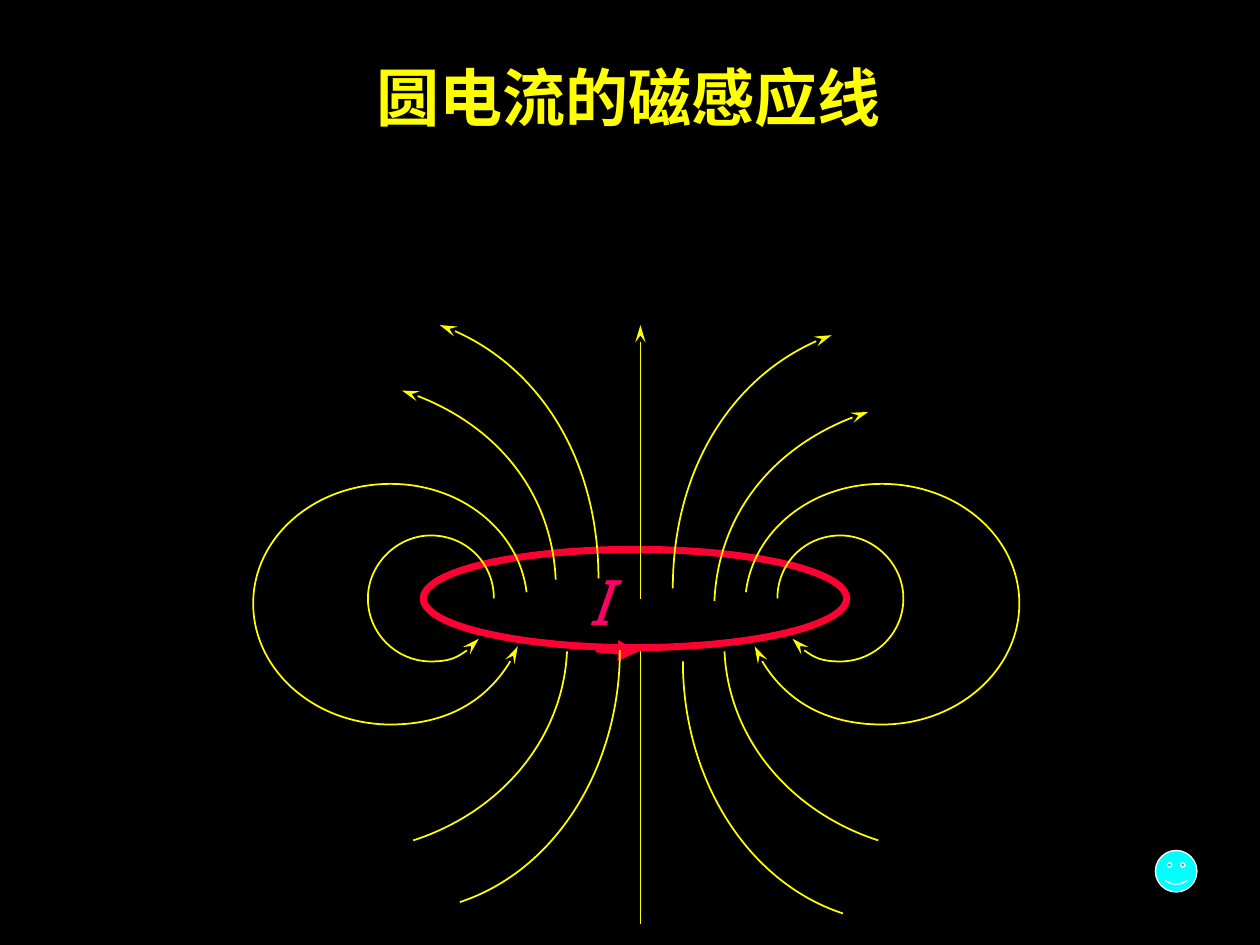
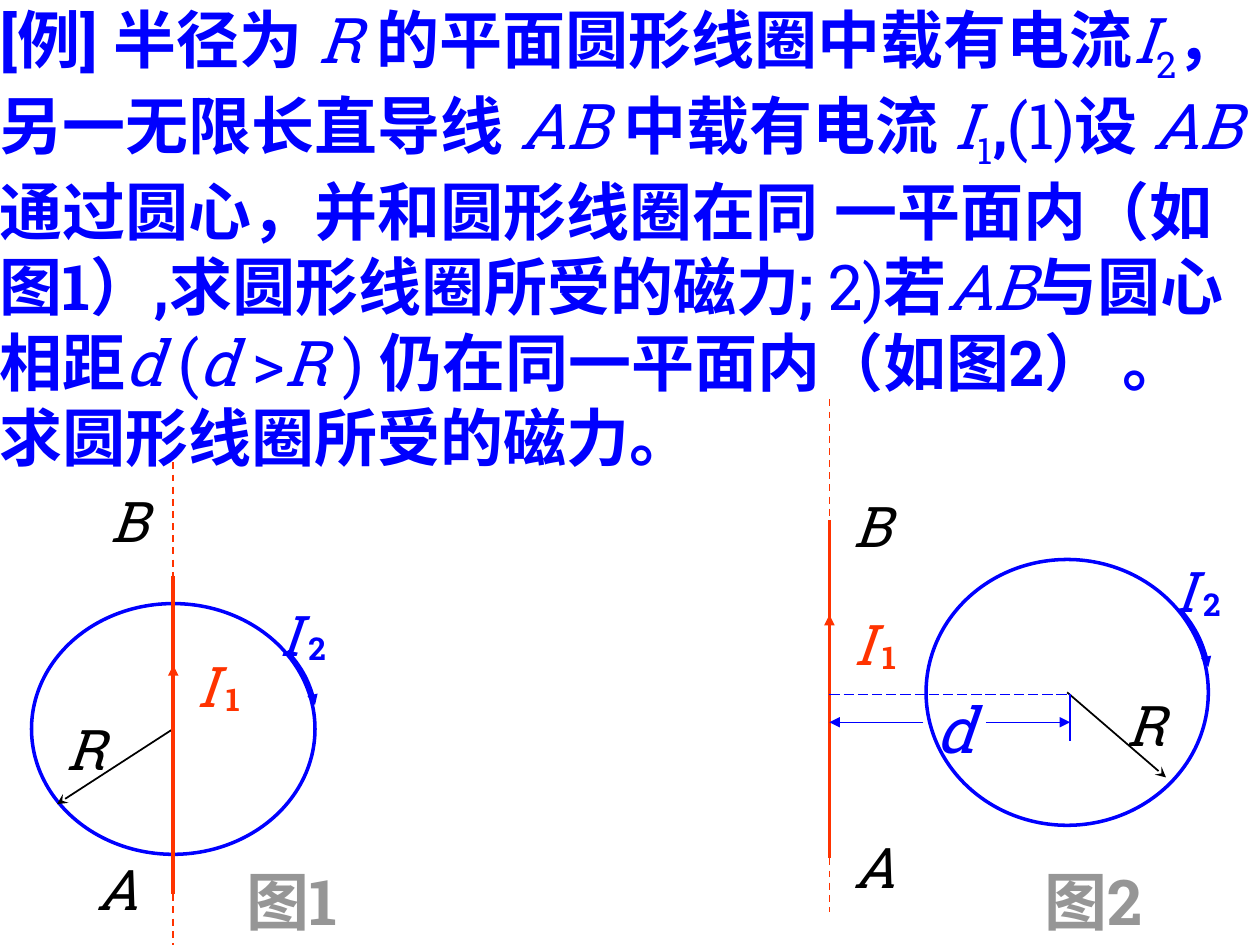
from copy import deepcopy
from dataclasses import dataclass

from lxml import etree
from pptx import Presentation
from pptx import util as u
from pptx.dml.color import RGBColor
from pptx.enum import dml, shapes, text
from pptx.oxml.ns import qn

FONT = "Roboto Slab"
COLUMNS, ROWS = 100, 75
CELL = u.Inches(10) // COLUMNS

BLACK = RGBColor(0, 0, 0)
WHITE = RGBColor(255, 255, 255)
YELLOW = RGBColor(255, 255, 0)
CRIMSON = RGBColor(255, 0, 51)
PINK = RGBColor(255, 0, 102)
CYAN = RGBColor(0, 255, 255)
BLUE = RGBColor(0, 0, 255)
ORANGE = RGBColor(255, 51, 0)
GRAY = RGBColor(150, 150, 150)

TRIANGLE = {"type": "triangle"}
STEALTH = {"type": "stealth"}
LONG_STEALTH = {"type": "stealth", "len": "lg"}


@dataclass
class Box:
    left: float
    top: float
    width: float
    height: float

    def cell(self, column, row, width=0, height=0):
        return Box(self.left + column, self.top + row, width, height)

    def share(self, x, y):
        return self.left + x * self.width, self.top + y * self.height

    def emu(self):
        return [round(n * CELL) for n in (self.left, self.top, self.width, self.height)]


def add_slide(presentation, background):
    slide = presentation.slides.add_slide(presentation.slide_layouts[6])
    slide.background.fill.solid()
    slide.background.fill.fore_color.rgb = background
    return slide


def style_line(shape, color, width, arrow=None, dash=None):
    shape.line.color.rgb = color
    shape.line.width = u.Pt(width)
    if dash:
        shape.line.dash_style = dash
    if arrow:
        etree.SubElement(shape.line._get_or_add_ln(), qn("a:tailEnd"), arrow)


def add_line(slide, start, end, color, width, arrow=None, dash=None):
    ends = [round(n * CELL) for n in (*start, *end)]
    connector = slide.shapes.add_connector(shapes.MSO_CONNECTOR.STRAIGHT, *ends)
    style_line(connector, color, width, arrow, dash)
    etree.SubElement(connector._element.spPr, qn("a:effectLst"))


def add_sector(outline, corner):
    outline.remove(corner)
    sector = deepcopy(outline)
    sector.append(corner)
    etree.SubElement(sector, qn("a:close"))
    sector.set("stroke", "0")
    outline.addnext(sector)


def add_curve(slide, points, color, width, arrow=None, center=None):
    nodes = [*points, center] if center else points
    corners = [(round(x * CELL), round(y * CELL)) for x, y in nodes]
    builder = slide.shapes.build_freeform(*corners[0], scale=1.0)
    builder.add_line_segments(corners[1:], close=False)
    shape = builder.convert_to_shape()
    outline = next(shape._element.iter(qn("a:path")))
    segments = outline.findall(qn("a:lnTo"))
    for first in range(0, len(points) - 1, 3):
        bezier = etree.SubElement(outline, qn("a:cubicBezTo"))
        for segment in segments[first:first + 3]:
            bezier.append(segment[0])
            outline.remove(segment)
    if center:
        add_sector(outline, segments[-1])
    shape.shadow.inherit = False
    shape.fill.background()
    style_line(shape, color, width, arrow)


def add_preset(slide, kind, box, line, width, fill=None):
    shape = slide.shapes.add_shape(kind, *box.emu())
    shape.shadow.inherit = False
    if fill:
        shape.fill.solid()
        shape.fill.fore_color.rgb = fill
    else:
        shape.fill.background()
    style_line(shape, line, width)
    return shape


def add_text(slide, box, runs, size, color, wrap=False, inset=True):
    frame = slide.shapes.add_textbox(*box.emu()).text_frame
    frame.word_wrap = wrap
    frame.auto_size = text.MSO_AUTO_SIZE.SHAPE_TO_FIT_TEXT
    if not inset:
        frame.margin_left = frame.margin_top = frame.margin_right = frame.margin_bottom = 0
    paragraph = frame.paragraphs[0]
    for content, style in runs:
        run = paragraph.add_run()
        run.text = content
        run.font.size = u.Pt(size)
        run.font.name = FONT
        run.font.color.rgb = color
        run.font.bold = "b" in style
        run.font.italic = "i" in style
        properties = run.font._element
        properties.set("lang", "zh-CN")
        etree.SubElement(properties, qn("a:ea"), typeface=FONT)
        if "s" in style:
            properties.set("baseline", "-25000")


def add_heading(slide, box, content, color):
    add_text(slide, box, [(content, "b")], 36, color)


def add_symbol(slide, box, letter, color, subscript=None, wrap=False):
    add_text(slide, box, [(letter, "i")], 32, color, wrap)
    if subscript:
        add_text(slide, box.cell(2.3, 2.25, 3.7, 4), [(subscript, "b")], 18, color)


SMALL_LOOP = [(41.7, 22.5), (41.7, 19.7), (43.9, 17.5), (46.7, 17.5),
              (49.4, 17.5), (51.7, 19.8), (51.7, 22.5),
              (51.7, 25.3), (49.4, 27.5), (46.7, 27.5),
              (45.2, 27.5), (43.8, 26.9), (42.9, 25.7)]
LARGE_LOOP = [(39.2, 22), (39.8, 17.1), (44.4, 13.4), (50, 13.4),
              (56, 13.4), (60.9, 17.6), (60.9, 22.9),
              (60.9, 28.2), (56, 32.5), (50, 32.5),
              (45.5, 32.5), (41.5, 30.1), (39.9, 26.3)]
OUTER_RISE = [(36.7, 22.7), (37, 15.9), (41.8, 9.9), (48.9, 7.7)]
INNER_RISE = [(33.4, 21.7), (33.4, 12.4), (38.5, 4.2), (46, 1.6)]
OUTER_FALL = [(37.5, 26.7), (37.8, 33.5), (42.6, 39.4), (49.7, 41.7)]
INNER_FALL = [(34.2, 27.5), (34.2, 36.8), (39.3, 45), (46.9, 47.5)]
CURRENT_ARROW = [(27.3, 26.5), (28.4, 26.6), (29.5, 26.7), (30.7, 26.7)]
CURRENT_CENTER = (28.6, 22.5)

FIELD_LINES = [
    (SMALL_LOOP, LONG_STEALTH, 60.9, 0),
    (LARGE_LOOP, LONG_STEALTH, 61, 0),
    (OUTER_RISE, LONG_STEALTH, 60.8, 1.7),
    (OUTER_FALL, None, 62.5, 0),
    (INNER_RISE, LONG_STEALTH, 60.9, 0.8),
    (INNER_FALL, None, 63.4, 0.9),
]


def draw_field(slide, box):
    def place(points):
        return [(box.left + x, box.top + y) for x, y in points]

    add_preset(slide, shapes.MSO_SHAPE.OVAL, box.cell(13.6, 18.6, 33.6, 7.8), CRIMSON, 4)
    add_curve(slide, place(CURRENT_ARROW), CRIMSON, 4, TRIANGLE, *place([CURRENT_CENTER]))
    add_line(slide, *place([(30.83, 22.5), (30.83, 0.8)]), YELLOW, 1, LONG_STEALTH)
    add_line(slide, *place([(30.83, 26.7), (30.83, 48.3)]), YELLOW, 1)
    for right, arrow, mirror, lift in FIELD_LINES:
        left = [(mirror - x, y - lift) for x, y in right]
        for points in (right, left):
            add_curve(slide, place(points), YELLOW, 1, arrow)
    add_text(slide, box.cell(25.65, 19.15, 3.6, 7), [("I", "i")], 36, PINK)


def build_field_slide(presentation):
    slide = add_slide(presentation, BLACK)
    draw_field(slide, Box(20, 25, 61, 48.3))
    add_heading(slide, Box(28.9, 4.15, 42, 7), "圆电流的磁感应线", YELLOW)
    smiley = add_preset(slide, shapes.MSO_SHAPE.SMILEY_FACE,
                        Box(91.7, 67.5, 3.3, 3.3), WHITE, 0.75, CYAN)
    smiley.adjustments[0] = 0.0465


PROBLEM = [
    ("[例] 半径为 ", "b"), ("R ", "i"), ("的平面圆形线圈中载有电流", "b"),
    ("I", "i"), ("2", "s"), ("，另一无限长直导线 ", "b"), ("AB ", "i"),
    ("中载有电流 ", "b"), ("I", "i"), ("1", "s"), (",", "b"), ("(1)", ""),
    ("设 ", "b"), ("AB ", "i"),
    ("通过圆心，并和圆形线圈在同 一平面内（如图1）,求圆形线圈所受的磁力; ", "b"),
    ("2)", ""), ("若", "b"), ("AB", "i"), ("与圆心相距", "b"), ("d ", "i"),
    ("(", ""), ("d ", "i"), (">", ""), ("R ", "i"), (") ", ""),
    ("仍在同一平面内（如图2） 。求圆形线圈所受的磁力。", "b"),
]


def draw_wire(slide, box):
    def stretch(top, bottom, width, arrow=None, dash=None):
        add_line(slide, box.share(0, top), box.share(0, bottom), ORANGE, width, arrow, dash)

    stretch(0.235, 0.895, 2)
    for top, bottom in ((0, 0.235), (0.895, 1)):
        stretch(top, bottom, 1, dash=dml.MSO_LINE.DASH)
    stretch(0.553, 0.42, 2, TRIANGLE)


def draw_coil(slide, box, radius_end):
    center = box.share(0.5, 0.5)
    add_preset(slide, shapes.MSO_SHAPE.OVAL, box, BLUE, 2)
    add_line(slide, center, box.share(*radius_end), BLACK, 1, STEALTH)
    arc = [(0.902, 0.19), (0.95, 0.25), (0.987, 0.325), (1, 0.405)]
    add_curve(slide, [box.share(*point) for point in arc], BLUE, 2, TRIANGLE, center)
    add_symbol(slide, box.cell(18.7, -0.75, 4.8, 6.3), "I", BLUE, "2", True)


def draw_circuit(slide, wire, coil, radius_end, labels):
    draw_coil(slide, coil, radius_end)
    draw_wire(slide, wire)
    for letter, (column, row) in labels.items():
        add_symbol(slide, wire.cell(column, row, 5.2, 6.3), letter, BLACK, wrap=letter == "A")


def draw_distance(slide, box):
    def mark(start, end, arrow=None, dash=None):
        add_line(slide, box.share(*start), box.share(*end), BLUE, 0.75, arrow, dash)

    mark((0, 0), (1, 0), dash=dml.MSO_LINE.LONG_DASH)
    mark((1, 0), (1, 1))
    mark((0.65, 0.6), (1, 0.6), TRIANGLE)
    mark((0.39, 0.6), (0, 0.6), TRIANGLE)
    add_text(slide, box.cell(7.5, -0.8, 5.2, 7), [("d", "i")], 36, BLUE)


def build_problem_slide(presentation):
    slide = add_slide(presentation, WHITE)
    add_text(slide, Box(0, 0, 99, 42.8), PROBLEM, 36, BLUE, True, False)
    through, beside = Box(13.75, 36.7, 0, 38.3), Box(65.83, 31.7, 0, 40.7)
    draw_circuit(slide, through, Box(2.5, 47.9, 22.5, 19.9), (0.09, 0.8),
                 {"R": (-9.45, 19.5), "B": (-6, 1.4), "A": (-7.1, 30.6)})
    draw_circuit(slide, beside, Box(73.5, 44.4, 22.4, 21.1), (0.85, 0.82),
                 {"R": (22.6, 22.6), "B": (0.9, 6.8), "A": (0.9, 33.9)})
    for wire, row in ((through, 14.5), (beside, 16.2)):
        add_symbol(slide, wire.cell(0.9, row, 4.8, 6.3), "I", ORANGE, "1", True)
    draw_distance(slide, Box(65.83, 55.1, 19.1, 3.7))
    for caption, left in (("图1", 18.6), ("图2", 81.9)):
        add_heading(slide, Box(left, 68, 11.5, 7), caption, GRAY)


def main():
    presentation = Presentation()
    presentation.slide_width = CELL * COLUMNS
    presentation.slide_height = CELL * ROWS
    build_field_slide(presentation)
    build_problem_slide(presentation)
    presentation.save("out.pptx")


if __name__ == "__main__":
    main()
